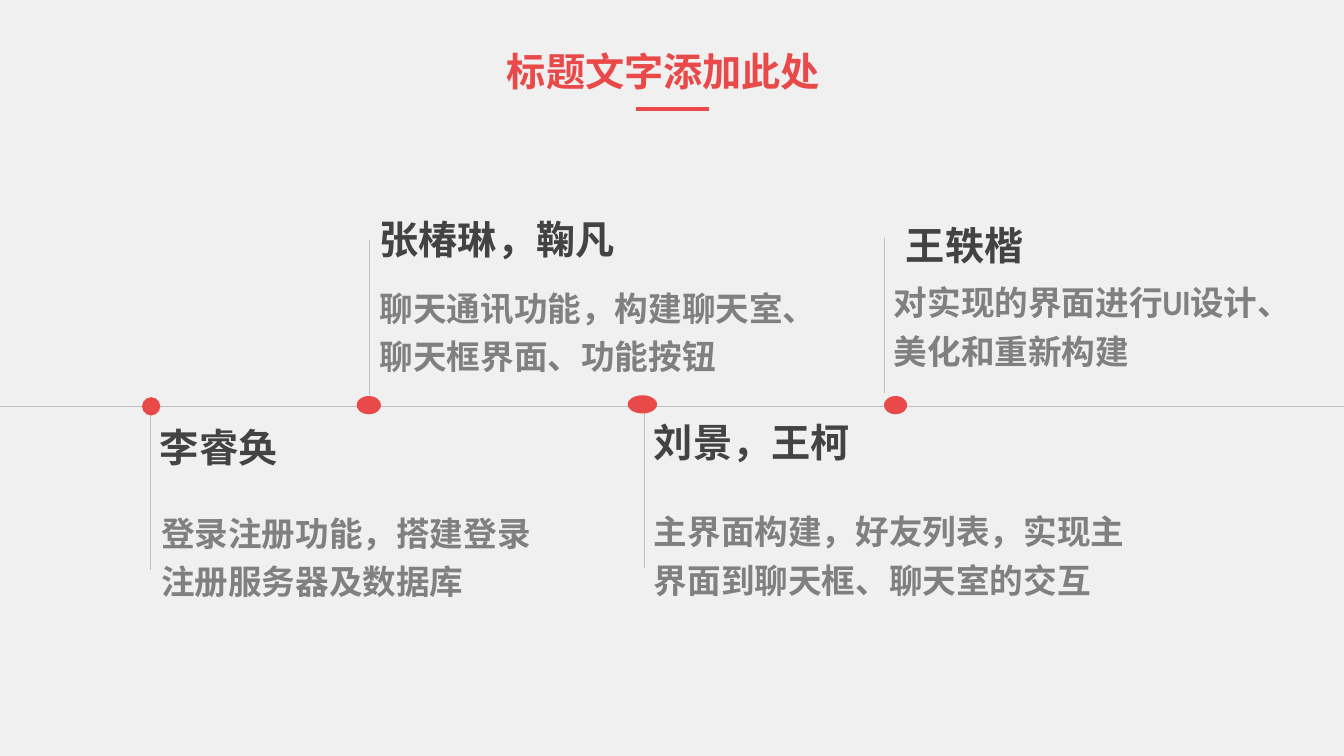
from dataclasses import dataclass

from lxml.etree import SubElement
from pptx import Presentation
from pptx.dml.color import RGBColor
from pptx.enum.lang import MSO_LANGUAGE_ID as Language
from pptx.enum.shapes import MSO_CONNECTOR as Connector, MSO_SHAPE as Shape
from pptx.enum.text import MSO_AUTO_SIZE as AutoSize, PP_ALIGN as Align
from pptx.oxml.ns import qn
from pptx.slide import Slide
from pptx.util import Cm, Pt


@dataclass(frozen=True)
class Theme:
    """Colours, font and sizes of the slide."""
    background: RGBColor = RGBColor.from_string("F0F0F0")
    accent: RGBColor = RGBColor.from_string("E94949")
    heading: RGBColor = RGBColor.from_string("444343")
    body: RGBColor = RGBColor.from_string("808080")
    rule: RGBColor = RGBColor.from_string("BFBFBF")
    font: str = "Arial Narrow"
    heading_size: float = 28
    body_size: float = 24
    rule_width: float = 0.5
    accent_width: float = 3


@dataclass(frozen=True)
class Box:
    """A rectangle in centimetres."""
    left: float
    top: float
    width: float
    height: float


@dataclass(frozen=True)
class Member:
    """A team entry on the timeline."""
    names: str
    duty: str
    stem_x: float
    stem_top: float
    dot: Box
    names_box: Box
    duty_box: Box


THEME = Theme()
SLIDE_WIDTH, SLIDE_HEIGHT = 33.87, 19.05
TIMELINE_Y = 10.24
STEM_LENGTH = 3.91
DOT_HEIGHT = 0.46
HEADING_HEIGHT = 1.45

MEMBERS = [
    Member("李睿奂", "登录注册功能，搭建登录注册服务器及数据库", 3.78, 10.46,
           Box(3.58, 10.01, 0.46, DOT_HEIGHT),
           Box(3.78, 10.54, 4.04, HEADING_HEIGHT), Box(3.81, 12.6, 10.36, 2.72)),
    Member("张椿琳，鞠凡", "聊天通讯功能，构建聊天室、聊天框界面、功能按钮", 9.3, 6.05,
           Box(8.99, 9.98, 0.61, DOT_HEIGHT),
           Box(9.32, 5.31, 9.47, HEADING_HEIGHT), Box(9.32, 6.93, 10.82, 3.96)),
    Member("刘景，王柯", "主界面构建，好友列表，实现主界面到聊天框、聊天室的交互", 16.23, 10.41,
           Box(15.82, 9.96, 0.74, DOT_HEIGHT),
           Box(16.23, 10.41, 9.7, HEADING_HEIGHT), Box(16.23, 12.55, 13.11, 5.18)),
    Member("王轶楷", "对实现的界面进行UI设计、美化和重新构建", 22.28, 5.99,
           Box(22.28, 9.98, 0.58, DOT_HEIGHT),
           Box(22.58, 5.44, 4.85, HEADING_HEIGHT), Box(22.28, 6.78, 10.41, 3.81)),
]


def draw_line(slide: Slide, start: tuple[float, float], end: tuple[float, float],
              color: RGBColor = THEME.rule, width: float = THEME.rule_width) -> None:
    """Draw a straight line without a shadow."""
    line = slide.shapes.add_connector(
        Connector.STRAIGHT, *(Cm(value) for value in (*start, *end)))
    line.line.color.rgb = color
    line.line.width = Pt(width)
    SubElement(line._element.spPr, qn("a:effectLst"))


def draw_text(slide: Slide, text: str, box: Box, color: RGBColor, size: float,
              align: Align = Align.LEFT, line_spacing: float = 1.0) -> None:
    """Write one bold paragraph in a wrapping box."""
    frame = slide.shapes.add_textbox(
        Cm(box.left), Cm(box.top), Cm(box.width), Cm(box.height)).text_frame
    frame.word_wrap = True
    frame.auto_size = AutoSize.SHAPE_TO_FIT_TEXT
    paragraph = frame.paragraphs[0]
    paragraph.text = text
    paragraph.alignment = align
    paragraph.line_spacing = line_spacing
    font = paragraph.font
    font.name, font.size, font.bold = THEME.font, Pt(size), True
    font.color.rgb = color
    font.language_id = Language.SIMPLIFIED_CHINESE


def draw_dot(slide: Slide, box: Box) -> None:
    """Draw a timeline marker."""
    dot = slide.shapes.add_shape(
        Shape.OVAL, Cm(box.left), Cm(box.top), Cm(box.width), Cm(box.height))
    dot.shadow.inherit = False
    dot.fill.solid()
    dot.fill.fore_color.rgb = THEME.accent
    dot.line.fill.background()


def draw_member(slide: Slide, member: Member) -> None:
    """Draw one entry with its stem, marker and texts."""
    draw_line(slide, (member.stem_x, member.stem_top),
              (member.stem_x, member.stem_top + STEM_LENGTH))
    draw_dot(slide, member.dot)
    draw_text(slide, member.names, member.names_box, THEME.heading, THEME.heading_size)
    draw_text(slide, member.duty, member.duty_box, THEME.body, THEME.body_size,
              line_spacing=1.2)


def main() -> None:
    """Build and save the team timeline slide."""
    deck = Presentation()
    deck.slide_width, deck.slide_height = Cm(SLIDE_WIDTH), Cm(SLIDE_HEIGHT)
    slide = deck.slides.add_slide(deck.slide_layouts[6])
    slide.background.fill.solid()
    slide.background.fill.fore_color.rgb = THEME.background

    draw_line(slide, (0, TIMELINE_Y), (SLIDE_WIDTH, TIMELINE_Y))
    for member in MEMBERS:
        draw_member(slide, member)
    draw_text(slide, "标题文字添加此处", Box(11.02, 1.07, 11.4, HEADING_HEIGHT),
              THEME.accent, THEME.heading_size, Align.CENTER)
    draw_line(slide, (16.03, 2.74), (17.86, 2.74), THEME.accent, THEME.accent_width)
    deck.save("out.pptx")


if __name__ == "__main__":
    main()
